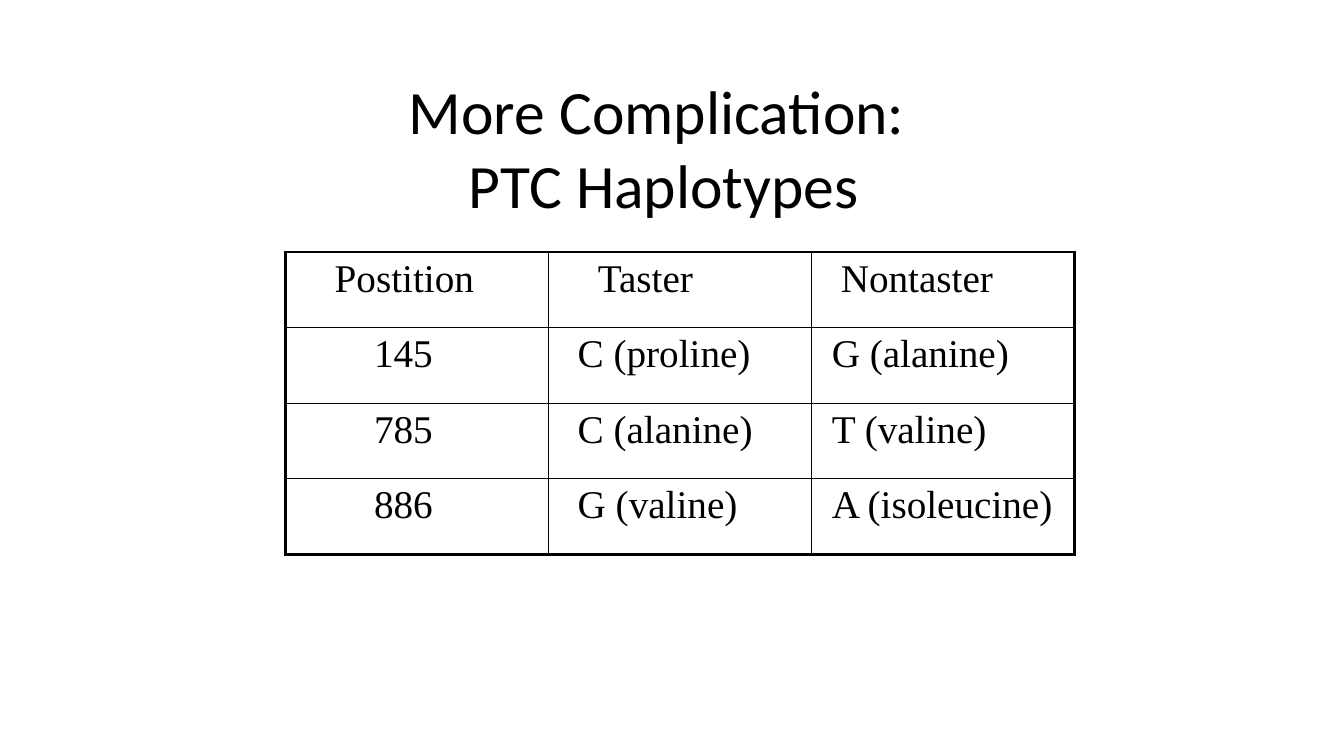
from lxml import etree
from pptx import Presentation
from pptx.dml.color import RGBColor
from pptx.enum.text import MSO_ANCHOR, MSO_AUTO_SIZE, PP_ALIGN
from pptx.oxml.ns import qn
from pptx.util import Inches, Pt

COLORS = {"ink": "000000", "paper": "FFFFFF"}
THICK, THIN = 2.25, 1
HAPLOTYPES = [
    ("Postition", "Taster", "Nontaster"),
    ("145", "C (proline)", "G (alanine)"),
    ("785", "C (alanine)", "T (valine)"),
    ("886", "G (valine)", "A (isoleucine)"),
]
HEADER_INDENTS = (0.49, 0.49, 0.29)
BODY_INDENTS = (0.88, 0.29, 0.2)


def style_font(font, name, size):
    font.name = name
    font.size = Pt(size)
    font.color.rgb = RGBColor.from_string(COLORS["ink"])


def place_title(slide, left, top, width, height):
    title = slide.shapes.title
    title.left, title.top = Inches(left), Inches(top)
    title.width, title.height = Inches(width), Inches(height)
    frame = title.text_frame
    frame.word_wrap = True
    frame.auto_size = MSO_AUTO_SIZE.NONE
    frame.vertical_anchor = MSO_ANCHOR.TOP
    frame.text = "More Complication: \vPTC Haplotypes"
    paragraph = frame.paragraphs[0]
    paragraph.alignment = PP_ALIGN.CENTER
    for run in paragraph.runs:
        style_font(run.font, "Calibri", 44)


def set_borders(cell, widths):
    properties = cell._tc.get_or_add_tcPr()
    for index, (side, width) in enumerate(widths.items()):
        line = etree.Element(qn(f"a:ln{side}"), w=str(int(Pt(width))))
        fill = etree.SubElement(line, qn("a:solidFill"))
        etree.SubElement(fill, qn("a:srgbClr"), val=COLORS["ink"])
        properties.insert(index, line)


def place_haplotype_table(slide, left, top, width, height):
    rows, columns = len(HAPLOTYPES), len(HAPLOTYPES[0])
    table = slide.shapes.add_table(
        rows, columns, Inches(left), Inches(top), Inches(width), Inches(height)
    ).table
    table.first_row = table.horz_banding = False
    for r, values in enumerate(HAPLOTYPES):
        indents = BODY_INDENTS if r else HEADER_INDENTS
        for c, (value, indent) in enumerate(zip(values, indents)):
            cell = table.cell(r, c)
            cell.fill.solid()
            cell.fill.fore_color.rgb = RGBColor.from_string(COLORS["paper"])
            cell.margin_left = Inches(indent)
            cell.margin_right = Inches(0.05)
            cell.vertical_anchor = MSO_ANCHOR.TOP
            cell.text = value
            paragraph = cell.text_frame.paragraphs[0]
            paragraph.alignment = PP_ALIGN.LEFT
            style_font(paragraph.runs[0].font, "Times New Roman", 28)
            set_borders(cell, {
                "L": THICK if c == 0 else THIN,
                "R": THICK if c == columns - 1 else THIN,
                "T": THICK if r == 0 else THIN,
                "B": THICK if r == rows - 1 else THIN,
            })


presentation = Presentation()
presentation.slide_width = Inches(13.33)
presentation.slide_height = Inches(7.5)
slide = presentation.slides.add_slide(presentation.slide_layouts[5])
place_title(slide, 1.92, 0.67, 9.33, 1.25)
place_haplotype_table(slide, 2.83, 2.5, 7.83, 3)
presentation.save("out.pptx")
